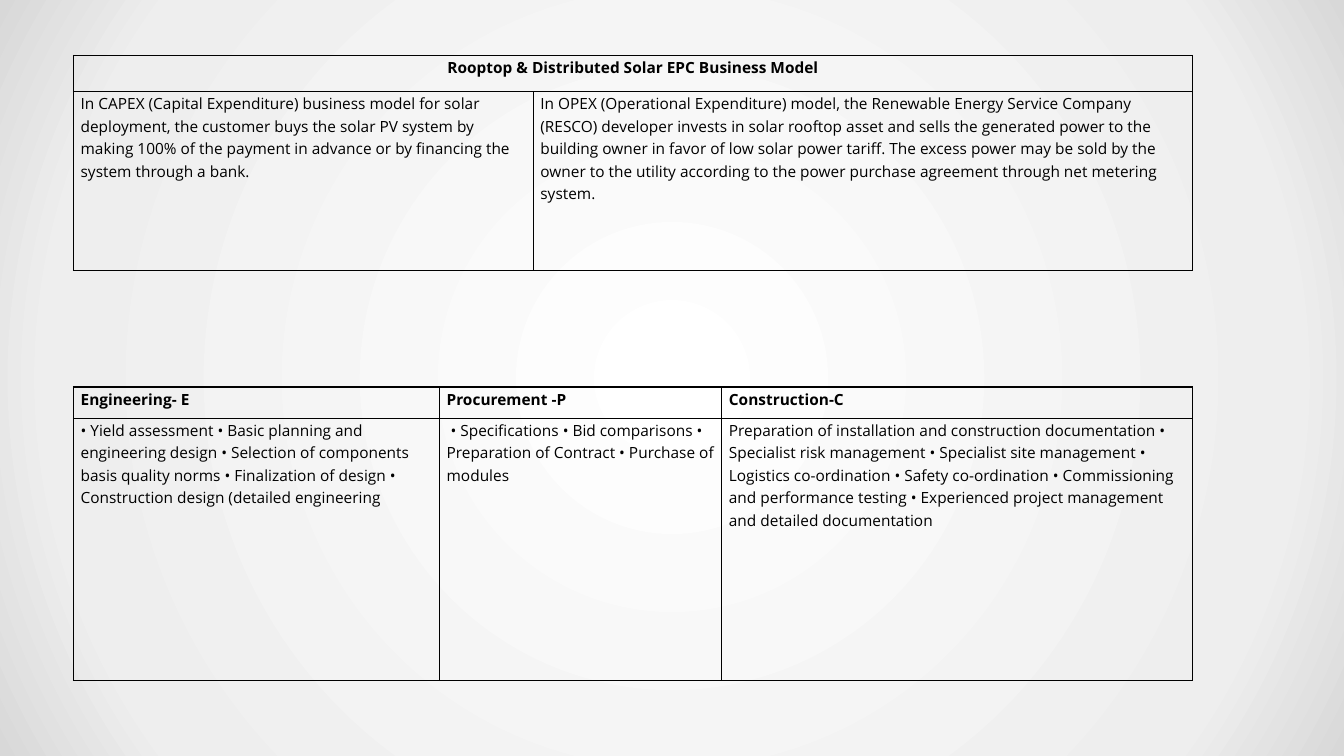
from lxml.etree import SubElement
from pptx import Presentation
from pptx.dml.color import RGBColor
from pptx.enum.text import PP_ALIGN
from pptx.oxml import parse_xml
from pptx.oxml.ns import nsdecls, qn
from pptx.util import Inches, Pt

FONT = "Open Sans"
BLACK = "000000"
LEFT, WIDTH = 0.73, 11.1

MODEL_TITLE = "Rooptop & Distributed Solar EPC Business Model"
MODELS = [
    "In CAPEX (Capital Expenditure) business model for solar deployment, the customer buys "
    "the solar PV system by making 100% of the payment in advance or by financing the system "
    "through a bank.",
    "In OPEX (Operational Expenditure) model, the Renewable Energy Service Company (RESCO) "
    "developer invests in solar rooftop asset and sells the generated power to the building "
    "owner in favor of low solar power tariff. The excess power may be sold by the owner to "
    "the utility according to the power purchase agreement through net metering system.",
]
PHASES = ["Engineering- E", "Procurement -P", "Construction-C"]
TASKS = [
    "• Yield assessment • Basic planning and engineering design • Selection of components "
    "basis quality norms • Finalization of design • Construction design (detailed engineering",
    " • Specifications • Bid comparisons • Preparation of Contract • Purchase of modules",
    "Preparation of installation and construction documentation • Specialist risk management "
    "• Specialist site management • Logistics co-ordination • Safety co-ordination "
    "• Commissioning and performance testing • Experienced project management and detailed "
    "documentation",
]


def rgb(value):
    """Turn a hex string into a colour."""
    return RGBColor.from_string(value)


def write(tf, text, size=11, color=BLACK, bold=False, align=PP_ALIGN.LEFT):
    """Write one formatted paragraph into a text frame."""
    p = tf.paragraphs[0]
    p.alignment = align
    p.line_spacing = 1.07
    p.space_after = Pt(8)
    r = p.add_run()
    r.text = text
    r.font.name = FONT
    r.font.size = Pt(size)
    r.font.bold = bold
    r.font.color.rgb = rgb(color)


def style_cell(cell, color=BLACK, width=1):
    """Give a cell thin borders, small margins and no fill."""
    cell.margin_left = cell.margin_right = Inches(0.07)
    cell.margin_top = cell.margin_bottom = 0
    tcPr = cell._tc.get_or_add_tcPr()
    for side in ("lnL", "lnR", "lnT", "lnB"):
        ln = SubElement(tcPr, qn(f"a:{side}"), w=str(Pt(width)))
        fill = SubElement(ln, qn("a:solidFill"))
        SubElement(fill, qn("a:srgbClr"), val=color)
    cell.fill.background()


def add_grid(s, left, top, width, cols, heights, header, body):
    """Place a two-row table, merging the header when it has one title."""
    frame = s.shapes.add_table(2, len(cols), Inches(left), Inches(top),
                               Inches(width), Inches(sum(heights)))
    table = frame.table
    table.first_row = table.horz_banding = False
    for column, w in zip(table.columns, cols):
        column.width = Inches(w)
    for row, h in zip(table.rows, heights):
        row.height = Inches(h)
    for cell in table.iter_cells():
        style_cell(cell)
    align = PP_ALIGN.LEFT
    if len(header) == 1:
        table.cell(0, 0).merge(table.cell(0, len(cols) - 1))
        align = PP_ALIGN.CENTER
    for i, text in enumerate(header):
        write(table.cell(0, i).text_frame, text, bold=True, align=align)
    for i, text in enumerate(body):
        write(table.cell(1, i).text_frame, text)


def set_background(s, stops):
    """Fill the background with a circular gradient from the centre."""
    s.background.fill.gradient()
    old = next(s.element.iter(qn("a:gradFill")))
    marks = "".join(f'<a:gs pos="{pos * 1000}"><a:srgbClr val="{color}"/></a:gs>'
                    for pos, color in stops)
    new = parse_xml(
        f'<a:gradFill {nsdecls("a")} rotWithShape="1"><a:gsLst>{marks}</a:gsLst>'
        '<a:path path="circle"><a:fillToRect l="50000" t="50000" r="50000" b="50000"/>'
        '</a:path></a:gradFill>')
    old.getparent().replace(old, new)


def main():
    """Build the slide and save it."""
    prs = Presentation()
    prs.slide_width, prs.slide_height = Inches(13.33), Inches(7.5)
    s = prs.slides.add_slide(prs.slide_layouts[6])
    set_background(s, [(0, "FFFFFF"), (81, "EEEEEE"), (100, "D8D8D8")])
    add_grid(s, LEFT, 0.55, WIDTH, [4.56, 6.54], [0.36, 1.77], [MODEL_TITLE], MODELS)
    add_grid(s, LEFT, 3.84, WIDTH, [3.63, 2.8, 4.67], [0.31, 2.6], PHASES, TASKS)
    prs.save("out.pptx")


if __name__ == "__main__":
    main()
